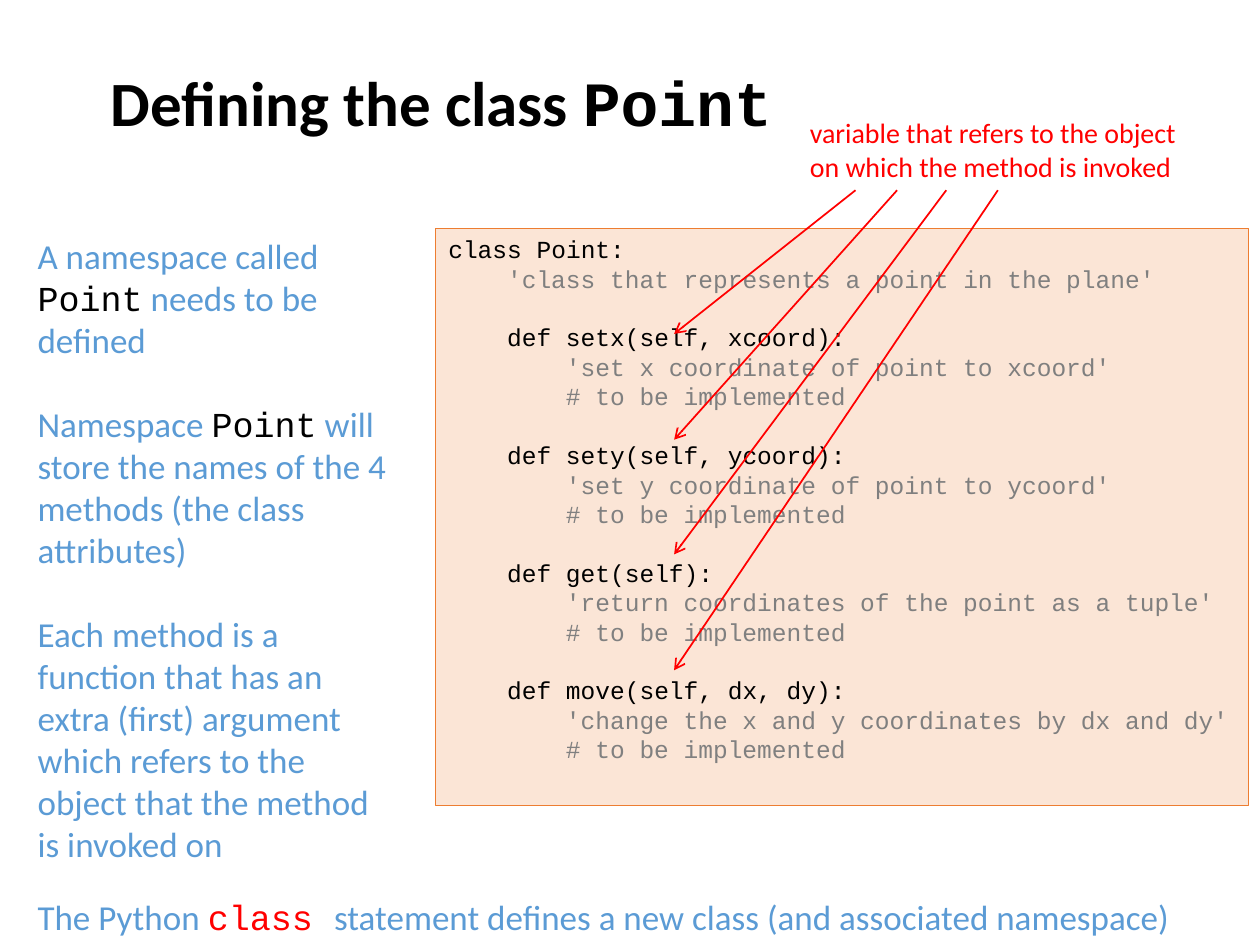
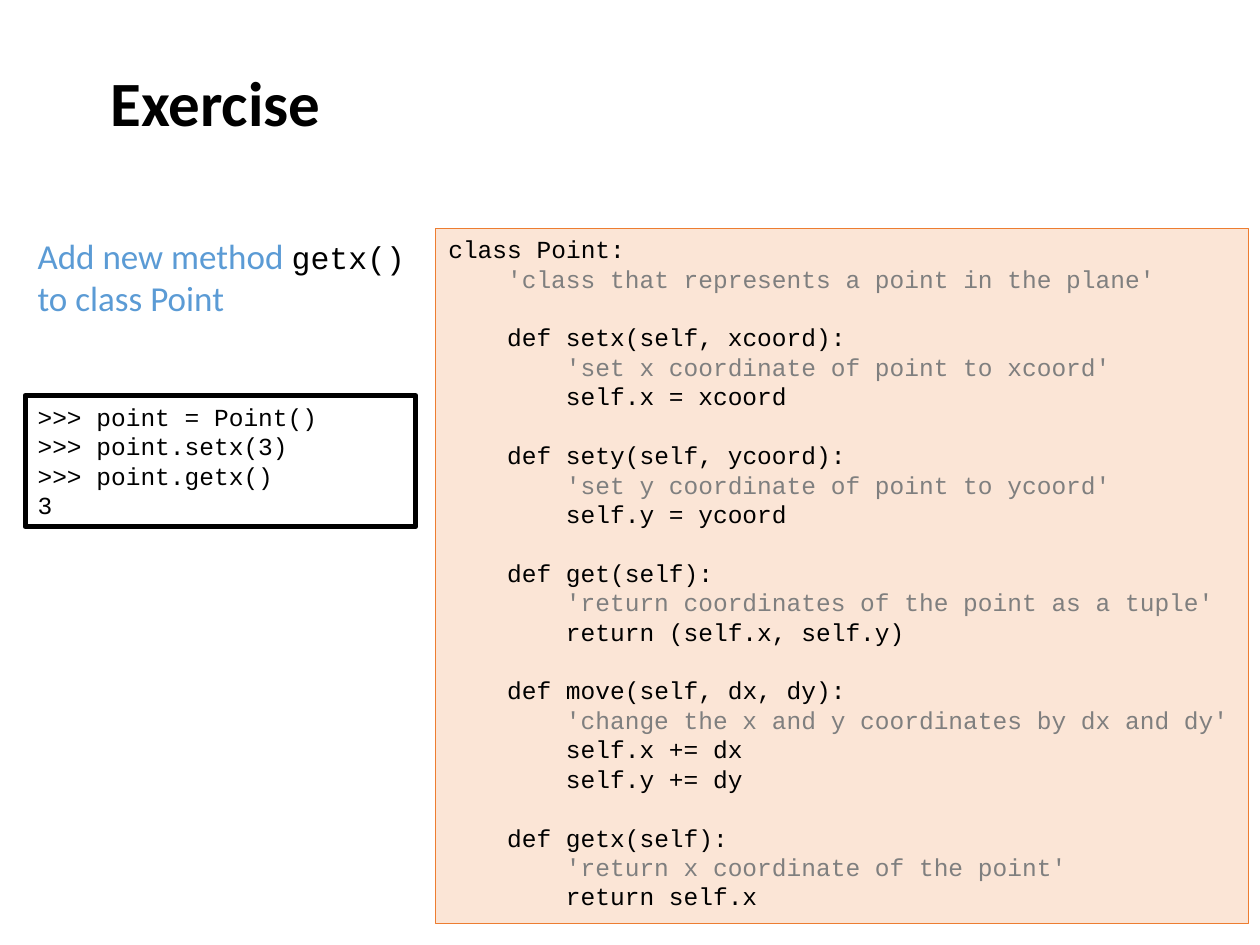
from lxml import etree
from pptx import Presentation
from pptx.dml.color import RGBColor
from pptx.enum.shapes import MSO_CONNECTOR, MSO_SHAPE
from pptx.enum.text import MSO_ANCHOR, PP_ALIGN
from pptx.oxml.ns import qn
from pptx.util import Inches, Pt

RECTANGLE = MSO_SHAPE.RECTANGLE
STRAIGHT = MSO_CONNECTOR.STRAIGHT
TOP, MIDDLE = MSO_ANCHOR.TOP, MSO_ANCHOR.MIDDLE
LEFT = PP_ALIGN.LEFT

# The grid has 100 columns and 75 rows of square cells; boxes are
# (column, row, columns wide, rows high).
COLUMNS, ROWS = 100, 75
CELL = Inches(10) / COLUMNS

BODY_FONT, CODE_FONT = "Calibri", "Courier New"
BLACK, WHITE, RED, BLUE = "000000", "FFFFFF", "FF0000", "5B9BD5"
PEACH, ORANGE = "FBE5D6", "ED7D31"
DOCSTRING_GREY, COMMENT_GREY = "7F7F7F", "808080"
TITLE_SIZE, BODY_SIZE, NOTE_SIZE, CODE_SIZE = 36, 20, 16, 14
LEADING = 1.2
CHARACTER_WIDTH = 0.6 * CODE_SIZE

TITLE_BOX = (7.8, 0, 87.2, 16.1)
TEXT_LEFT, CONTENT_TOP = 2, 18.1
CODE_LEFT, CODE_WIDTH = 34.6, 64.5

# (signature, docstring, finished body)
METHODS = [
    ("setx(self, xcoord)", "set x coordinate of point to xcoord",
     ["self.x = xcoord"]),
    ("sety(self, ycoord)", "set y coordinate of point to ycoord",
     ["self.y = ycoord"]),
    ("get(self)", "return coordinates of the point as a tuple",
     ["return (self.x, self.y)"]),
    ("move(self, dx, dy)", "change the x and y coordinates by dx and dy",
     ["self.x += dx", "self.y += dy"]),
]
GETX = ("getx(self)", "return x coordinate of the point", ["return self.x"])
UNFINISHED = ["# to be implemented"]


def color(value):
    """Turn a hex string into a colour."""
    return RGBColor.from_string(value)


def cells(*counts):
    """Turn counts of grid cells into lengths."""
    return [round(count * CELL) for count in counts]


def write_paragraph(para, spans, size, leading=LEADING):
    """Write (text, font, colour) spans into a paragraph."""
    para.alignment = LEFT
    para.font.size = Pt(size)
    if leading:
        para.line_spacing = Pt(size * leading)
    for text, font, ink in spans:
        span = para.add_run()
        span.text = text
        span.font.name = font
        span.font.color.rgb = color(ink)


def paragraphs(frame, count):
    """Give the first paragraph of a frame and add the others."""
    return [frame.paragraphs[0]] + [frame.add_paragraph() for _ in range(count - 1)]


def add_text(page, box, contents, size=BODY_SIZE, wrap=True):
    """Place a text box holding one list of spans per paragraph."""
    frame = page.shapes.add_textbox(*cells(*box)).text_frame
    frame.word_wrap = wrap
    frame.vertical_anchor = TOP
    for para, spans in zip(paragraphs(frame, len(contents)), contents):
        write_paragraph(para, spans, size)
    return frame


def add_title(page, spans):
    """Place the bold slide title."""
    frame = page.shapes.add_textbox(*cells(*TITLE_BOX)).text_frame
    frame.word_wrap = True
    frame.vertical_anchor = MIDDLE
    write_paragraph(frame.paragraphs[0], spans, TITLE_SIZE, leading=None)
    frame.paragraphs[0].font.bold = True
    for span in frame.paragraphs[0].runs:
        span.font.bold = True


def class_lines(methods, finished):
    """List (indent level, text, blank line before) for class Point."""
    lines = [(0, "class Point:", False),
             (1, "'class that represents a point in the plane'", False)]
    for signature, docstring, body in methods:
        lines += [(1, f"def {signature}:", True), (2, f"'{docstring}'", False)]
        lines += [(2, text, False) for text in (body if finished else UNFINISHED)]
    return lines


def code_color(text):
    """Choose the colour of a line of code by its first character."""
    return {"'": DOCSTRING_GREY, "#": COMMENT_GREY}.get(text[0], BLACK)


def add_code(page, box, lines, fill, edge, edge_width):
    """Place a framed panel of code, indented four characters per level."""
    panel = page.shapes.add_shape(RECTANGLE, *cells(*box))
    panel.shadow.inherit = False
    panel.fill.solid()
    panel.fill.fore_color.rgb = color(fill)
    panel.line.color.rgb = color(edge)
    panel.line.width = Pt(edge_width)
    frame = panel.text_frame
    frame.word_wrap = True
    frame.vertical_anchor = TOP
    for para, (level, text, gap) in zip(paragraphs(frame, len(lines)), lines):
        write_paragraph(para, [(text, CODE_FONT, code_color(text))], CODE_SIZE)
        para.space_before = Pt(CODE_SIZE * LEADING if gap else 0)
        properties = para._p.get_or_add_pPr()
        properties.set("marL", str(Pt(4 * CHARACTER_WIDTH * level)))
        properties.set("indent", "0")


def add_class_panel(page, height, methods, finished):
    """Place the peach panel that shows class Point."""
    add_code(page, (CODE_LEFT, CONTENT_TOP, CODE_WIDTH, height),
             class_lines(methods, finished), PEACH, ORANGE, 0.5)


def add_arrow(page, start, end):
    """Draw a thin red arrow between two grid points."""
    arrow = page.shapes.add_connector(STRAIGHT, *cells(*start, *end))
    arrow.line.color.rgb = color(RED)
    arrow.line.width = Pt(1)
    etree.SubElement(arrow.line._get_or_add_ln(), qn("a:tailEnd"), type="arrow")
    etree.SubElement(arrow._element.spPr, qn("a:effectLst"))


def add_self_note(page, box):
    """Place the red note on self and its arrows to the four methods."""
    add_text(page, box,
             [[("variable that refers to the object", BODY_FONT, RED)],
              [("on which the method is invoked", BODY_FONT, RED)]],
             NOTE_SIZE, wrap=False)
    left, top, _, height = box
    for offset, tip_row in [(4.6, 26.5), (7.9, 34.9), (11.8, 44), (15.9, 53.2)]:
        add_arrow(page, (left + offset, top + height), (53.5, tip_row))


def build_definition(page):
    """Build the slide that defines class Point."""
    add_title(page, [("Defining the class ", BODY_FONT, BLACK),
                     ("Point", CODE_FONT, BLACK)])
    point = ("Point", CODE_FONT, BLACK)
    frame = add_text(page, (TEXT_LEFT, CONTENT_TOP, 31, 27.9), [
        [("A namespace called ", BODY_FONT, BLUE), point,
         (" needs to be defined", BODY_FONT, BLUE)],
        [("Namespace ", BODY_FONT, BLUE), point,
         (" will store the names of the 4 methods (the class", BODY_FONT, BLUE)],
        [("attributes)", BODY_FONT, BLUE)]])
    frame.paragraphs[1].space_before = Pt(BODY_SIZE * LEADING)
    add_text(page, (TEXT_LEFT, 48.1, 29.1, 21.2), [
        [("Each method is a function that has an extra (first) argument",
          BODY_FONT, BLUE)],
        [("which refers to the object that the method is invoked on",
          BODY_FONT, BLUE)]])
    add_class_panel(page, 45.8, METHODS, finished=False)
    add_text(page, (TEXT_LEFT, 70.6, 93, 4.4), [
        [("The Python ", BODY_FONT, BLUE), ("class ", CODE_FONT, RED),
         ("statement defines a new class (and associated namespace)",
          BODY_FONT, BLUE)]], wrap=False)
    add_self_note(page, (63.3, 8.7, 31.6, 6.4))


def build_exercise(page):
    """Build the slide with the getx exercise and its solution."""
    add_title(page, [("Exercise", BODY_FONT, BLACK)])
    frame = add_text(page, (TEXT_LEFT, CONTENT_TOP, 32.6, 7.7), [
        [("Add new method ", BODY_FONT, BLUE), ("getx()", CODE_FONT, BLACK),
         (" to class Point", BODY_FONT, BLUE)]])
    frame.paragraphs[0].runs[1].font.size = Pt(18)
    session = [">>> point = Point()", ">>> point.setx(3)", ">>> point.getx()", "3"]
    add_code(page, (TEXT_LEFT, 31.4, 31, 10.4),
             [(0, text, False) for text in session], WHITE, BLACK, 3)
    add_class_panel(page, 55.2, METHODS + [GETX], finished=True)


deck = Presentation()
deck.slide_width, deck.slide_height = cells(COLUMNS, ROWS)
for build in (build_definition, build_exercise):
    build(deck.slides.add_slide(deck.slide_layouts[6]))
deck.save("out.pptx")
